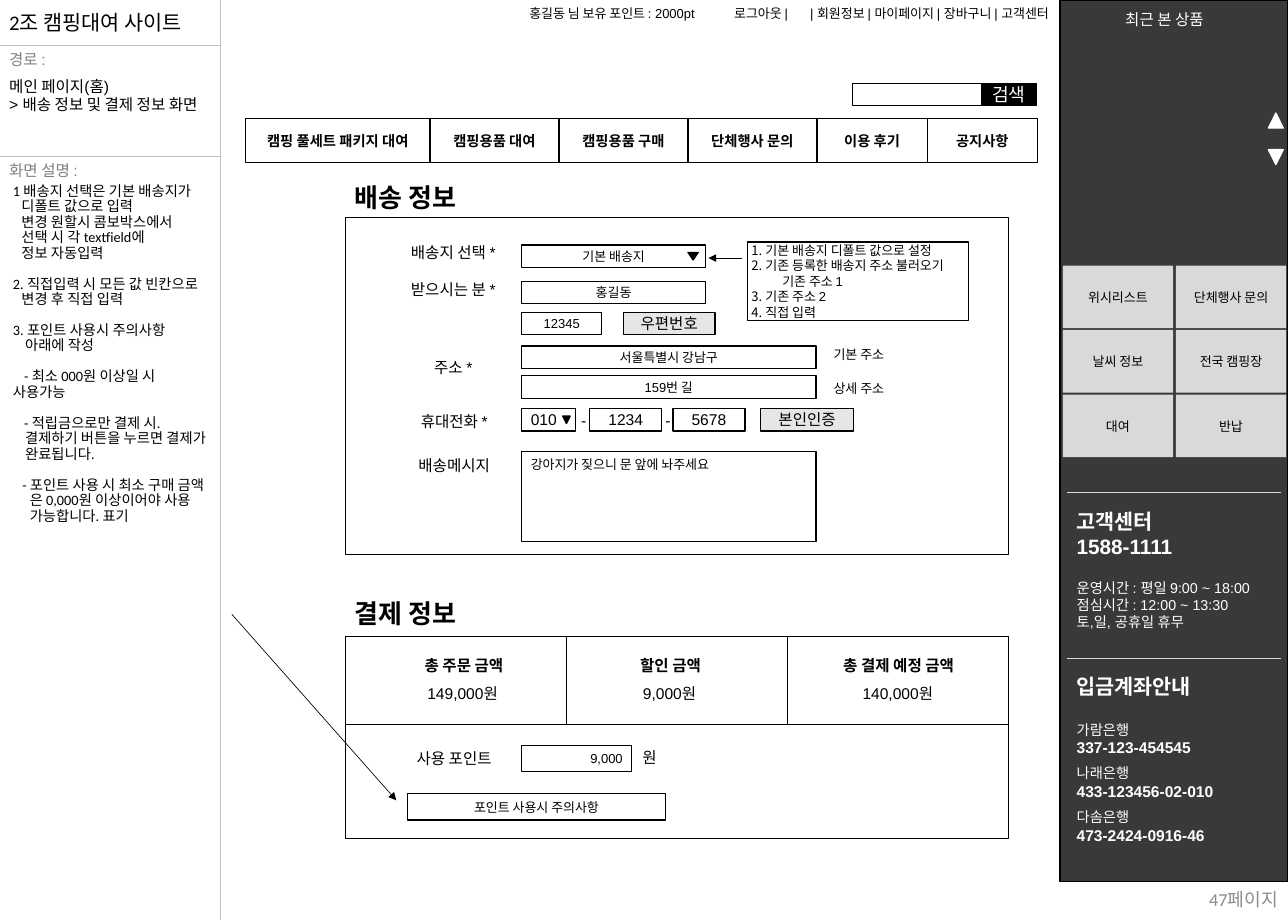
from pptx import Presentation
from pptx.dml.color import RGBColor
from pptx.enum.shapes import MSO_CONNECTOR, MSO_SHAPE
from pptx.enum.text import MSO_ANCHOR, PP_ALIGN
from pptx.oxml.ns import qn
from pptx.util import Inches, Pt
from lxml import etree

RECT, TRIANGLE = MSO_SHAPE.RECTANGLE, MSO_SHAPE.ISOSCELES_TRIANGLE
STRAIGHT = MSO_CONNECTOR.STRAIGHT
LEFT, CENTER, RIGHT = PP_ALIGN.LEFT, PP_ALIGN.CENTER, PP_ALIGN.RIGHT
TOP, MIDDLE = MSO_ANCHOR.TOP, MSO_ANCHOR.MIDDLE

COLORS = {"black": "000000", "white": "FFFFFF", "sidebar": "3B3838", "tile": "D9D9D9",
          "button": "E7E6E6", "rule": "BFBFBF", "caption": "808080", "page": "8C8C8C"}
WIDTH, HEIGHT = 13.78, 9.84
NOTES_W = 2.36
FIELD_X, FIELD_H = 5.58, 0.24
PANEL_X, PANEL_W = 3.7, 7.09
SIDE_X, SIDE_W = 11.34, 2.44
RULE_X, RULE_W = 11.42, 2.28

MENU = [("캠핑 풀세트 패키지 대여", 1.97), ("캠핑용품 대여", 1.38), ("캠핑용품 구매", 1.38),
        ("단체행사 문의", 1.38), ("이용 후기", 1.18), ("공지사항", 1.18)]
TILES = [["위시리스트", "단체행사 문의"], ["날씨 정보", "전국 캠핑장"], ["대여", "반납"]]
CAPTIONS = [("경로 :", 0.49), ("화면 설명 :", 1.67)]
ROUTE = ["메인 페이지(홈)", "> 배송 정보 및 결제 정보 화면"]
NOTES = [
    (0, 0.09, ["1 배송지 선택은 기본 배송지가", "디폴트 값으로 입력", "변경 원할시 콤보박스에서",
               "선택 시 각 textfield에", "정보 자동입력"]),
    (0, 0.09, ["2. 직접입력 시 모든 값 빈칸으로", "변경 후 직접 입력"]),
    (0, 0.13, ["3. 포인트 사용시 주의사항", "아래에 작성"]),
    (0.12, 0, ["- 최소 000원 이상일 시", "사용가능"]),
    (0.12, 0.13, ["- 적립금으로만 결제 시.", "결제하기 버튼을 누르면 결제가", "완료됩니다."]),
    (0.1, 0.18, ["- 포인트 사용 시 최소 구매 금액", "은 0,000원 이상이어야 사용", "가능합니다. 표기"]),
]
SUPPORT = [("고객센터", 16, True, 0), ("1588-1111", 16, True, 0),
           ("운영시간 : 평일 9:00 ~ 18:00", 11, False, 16),
           ("점심시간 : 12:00 ~ 13:30", 11, False, 0), ("토,일, 공휴일 휴무", 11, False, 0)]
ACCOUNTS = [("입금계좌안내", 16, True, 0),
            ("가람은행", 11, False, 17), ("337-123-454545", 12, True, 0),
            ("나래은행", 11, False, 6), ("433-123456-02-010", 12, True, 0),
            ("다솜은행", 11, False, 6), ("473-2424-0916-46", 12, True, 0)]
HEADINGS = [("배송 정보", 1.89, "Arial"), ("결제 정보", 6.34, "Calibri")]
PANELS = [(2.33, 3.6), (6.81, 2.16)]
LABELS = [("배송지 선택 *", 4.85, 2.55), ("받으시는 분 *", 4.85, 2.94), ("주소 *", 4.85, 3.78),
          ("휴대전화 *", 4.86, 4.36), ("배송메시지", 4.86, 4.83),
          ("사용 포인트", 4.86, 7.96), ("원", 6.95, 7.95)]
FIELDS = [("기본 배송지", FIELD_X, 2.62, 1.97, FIELD_H, 10, CENTER),
          ("홍길동", FIELD_X, 3.01, 1.97, FIELD_H, 10, CENTER),
          ("12345", FIELD_X, 3.34, 0.86, FIELD_H, 10, CENTER),
          ("서울특별시 강남구", FIELD_X, 3.7, 3.15, FIELD_H, 10, CENTER),
          ("159번 길", FIELD_X, 4.02, 3.15, FIELD_H, 10, CENTER),
          ("010", FIELD_X, 4.37, 0.58, FIELD_H, 12, LEFT),
          ("1234", 6.31, 4.37, 0.77, FIELD_H, 12, CENTER),
          ("5678", 7.2, 4.37, 0.77, FIELD_H, 12, CENTER),
          ("9,000", FIELD_X, 7.97, 1.18, 0.28, 10, RIGHT),
          ("포인트 사용시 주의사항", 4.36, 8.49, 2.76, 0.28, 10, CENTER)]
BUTTONS = [("우편번호", 6.67, 3.34, 0.98), ("본인인증", 8.14, 4.37, 0.99)]
ADDRESS_HINTS = [("기본 주소", 3.66), ("상세 주소", 4.02)]
DASHES = [6.12, 7.02]
ADDRESS_OPTIONS = [("기본 배송지 디폴트 값으로 설정", 1), ("기존 등록한 배송지 주소 불러오기", 1),
                   ("기존 주소 1", None), ("기존 주소 2", 3), ("직접 입력", 3)]
TOTALS = [("총 주문 금액", 4.96, "149,000원", 4.47, 0.96, CENTER),
          ("할인 금액", 7.17, "9,000원", 6.78, 0.78, LEFT),
          ("총 결제 예정 금액", 9.61, "140,000원", 9.13, 0.96, LEFT)]
ARROWS_UP_DOWN = [(13.57, 1.21, 0.16, 0.16, 0, "white"), (13.57, 1.6, 0.16, 0.16, 180, "white"),
                  (6.02, 4.45, 0.08, 0.08, 180, "black"), (7.36, 2.7, 0.11, 0.08, 180, "black")]

prs = Presentation()
prs.slide_width, prs.slide_height = Inches(WIDTH), Inches(HEIGHT)
slide = prs.slides.add_slide(prs.slide_layouts[6])


def rgb(name):
    return RGBColor.from_string(COLORS[name])


def style(paragraph, size, color="black", bold=False, font="Arial"):
    for run in paragraph.runs:
        run.font.size, run.font.bold, run.font.name = Pt(size), bold, font
        run.font.color.rgb = rgb(color)


def write(shape, lines, size, color="black", align=LEFT, bold=False, font="Arial",
          anchor=TOP, wrap=True):
    frame = shape.text_frame
    frame.text = lines
    frame.word_wrap, frame.vertical_anchor = wrap, anchor
    for paragraph in frame.paragraphs:
        paragraph.alignment = align
        style(paragraph, size, color, bold, font)
    return frame


def label(lines, x, y, w, h, size, **options):
    holder = slide.shapes.add_textbox(Inches(x), Inches(y), Inches(w), Inches(h))
    return write(holder, lines, size, **options)


def box(x, y, w, h, fill=None, line="black", kind=RECT):
    shape = slide.shapes.add_shape(kind, Inches(x), Inches(y), Inches(w), Inches(h))
    shape.shadow.inherit = False
    if fill:
        shape.fill.solid()
        shape.fill.fore_color.rgb = rgb(fill)
    else:
        shape.fill.background()
    if line:
        shape.line.color.rgb = rgb(line)
        shape.line.width = Pt(1)
    else:
        shape.line.fill.background()
    return shape


def rule(x1, y1, x2, y2, color="black", width=0.5, arrow=False):
    line = slide.shapes.add_connector(STRAIGHT, Inches(x1), Inches(y1), Inches(x2), Inches(y2))
    line.line.color.rgb = rgb(color)
    line.line.width = Pt(width)
    if arrow:
        etree.SubElement(line.line._get_or_add_ln(), qn("a:tailEnd"), type="triangle")
    etree.SubElement(line._element.spPr, qn("a:effectLst"))


def indent(paragraph, left, first):
    properties = paragraph._p.get_or_add_pPr()
    properties.set("marL", str(Inches(left)))
    properties.set("indent", str(Inches(first)))
    return properties


def contact(entries, y, h):
    frame = label("\n".join(entry[0] for entry in entries), RULE_X, y, RULE_W, h, 11)
    for paragraph, (_, size, bold, gap) in zip(frame.paragraphs, entries):
        style(paragraph, size, "white", bold)
        if gap:
            paragraph.space_before = Pt(gap)


box(9.12, 0.89, 1.38, 0.24, "white")
write(box(10.5, 0.89, 0.59, 0.24, "black"), "검색", 14, "white", CENTER, font="Calibri",
      anchor=MIDDLE)
menu_x = 2.63
for item, item_w in MENU:
    write(box(menu_x, 1.27, item_w, 0.47), item, 11, align=CENTER, bold=True, anchor=MIDDLE)
    menu_x += item_w
label("| 회원정보 | 마이페이지 | 장바구니 | 고객센터", 7.69, 0.01, 3.63, 0.27, 10, align=RIGHT)
label("홍길동 님 보유 포인트 : 2000pt", 5.28, 0.01, 2.25, 0.27, 10, align=RIGHT)
label("로그아웃 |", 7.53, 0.01, 0.9, 0.27, 10, align=RIGHT).margin_right = 0

box(SIDE_X, 0, SIDE_W, 9.43, "sidebar")
label("최근 본 상품", 11.94, 0.06, 1.23, 0.3, 12, color="white")
for row, names in enumerate(TILES):
    for column, name in enumerate(names):
        tile = box(11.37 + 1.21 * column, 2.84 + 0.69 * row, 1.18, 0.67, "tile", None)
        write(tile, name, 10, align=CENTER, anchor=MIDDLE)
for entries, y, h in [(SUPPORT, 5.27, 1.43), (ACCOUNTS, 7.04, 1.94)]:
    rule(RULE_X, y, RULE_X + RULE_W, y, "tile", 1)
    contact(entries, y + 0.12, h)
label("47페이지", 12.12, 9.42, 1.65, 0.39, 14, color="page", align=RIGHT, font="Calibri",
      anchor=MIDDLE)

label("2조 캠핑대여 사이트", 0, 0.06, NOTES_W, 0.37, 16, font="Calibri")
for caption, y in CAPTIONS:
    rule(NOTES_W, y, 0, y, "rule")
    label(caption, 0, y, 2.13, 0.3, 12, color="caption")
rule(NOTES_W, 0, NOTES_W, HEIGHT, "rule")
label("\n".join(ROUTE), 0, 0.77, 2.58, 0.5, 12)
notes = label("\n".join("\v".join(lines) for _, _, lines in NOTES), 0.04, 1.92, 2.45, 6.43, 11,
              font="Calibri")
for number, (paragraph, (first, rest, _)) in enumerate(zip(notes.paragraphs, NOTES)):
    indent(paragraph, rest, first - rest)
    paragraph.line_spacing = 0.9
    if number:
        paragraph.space_before = Pt(12)

for y, h in PANELS:
    box(PANEL_X, y, PANEL_W, h)
for heading, y, font in HEADINGS:
    label(heading, PANEL_X, y, 3.54, 0.44, 20, bold=True, font=font)
for name, center, y in LABELS:
    label(name, center - 0.6, y, 1.2, 0.3, 12, align=CENTER, anchor=MIDDLE, wrap=False)
for value, x, y, w, h, size, align in FIELDS:
    write(box(x, y, w, h, "white"), value, size, align=align, anchor=MIDDLE)
for name, x, y, w in BUTTONS:
    write(box(x, y, w, FIELD_H, "button"), name, 12, align=CENTER, anchor=MIDDLE)
write(box(FIELD_X, 4.83, 3.15, 0.96, "white"), "강아지가 짖으니 문 앞에 놔주세요", 10)
for hint, y in ADDRESS_HINTS:
    label(hint, 8.82, y, 0.9, 0.27, 10)
for x in DASHES:
    label("-", x, 4.35, 0.27, 0.3, 12)
for x, y, w, h, turn, color in ARROWS_UP_DOWN:
    box(x, y, w, h, color, color, TRIANGLE).rotation = turn

options = write(box(8, 2.59, 2.36, 0.84), "\n".join(text for text, _ in ADDRESS_OPTIONS), 10)
options.margin_left, options.margin_top = Inches(0.04), 0
options.margin_right = options.margin_bottom = 0
for paragraph, (_, start) in zip(options.paragraphs, ADDRESS_OPTIONS):
    if start:
        etree.SubElement(indent(paragraph, 0.15, -0.15), qn("a:buAutoNum"),
                         type="arabicPeriod", startAt=str(start))
    else:
        indent(paragraph, 0.33, 0)
rule(7.94, 2.76, 7.58, 2.76, arrow=True)

rule(PANEL_X, 7.75, PANEL_X + PANEL_W, 7.75)
for share in (1, 2):
    x = PANEL_X + PANEL_W * share / 3
    rule(x, 6.81, x, 7.75)
for name, center, amount, x, w, align in TOTALS:
    label(name, center - 0.98, 6.97, 1.97, 0.3, 12, align=CENTER, bold=True, font="Calibri")
    label(amount, x, 7.27, w, 0.3, 12, align=align)
rule(2.48, 6.57, 4.24, 8.56, arrow=True)

prs.save("out.pptx")
